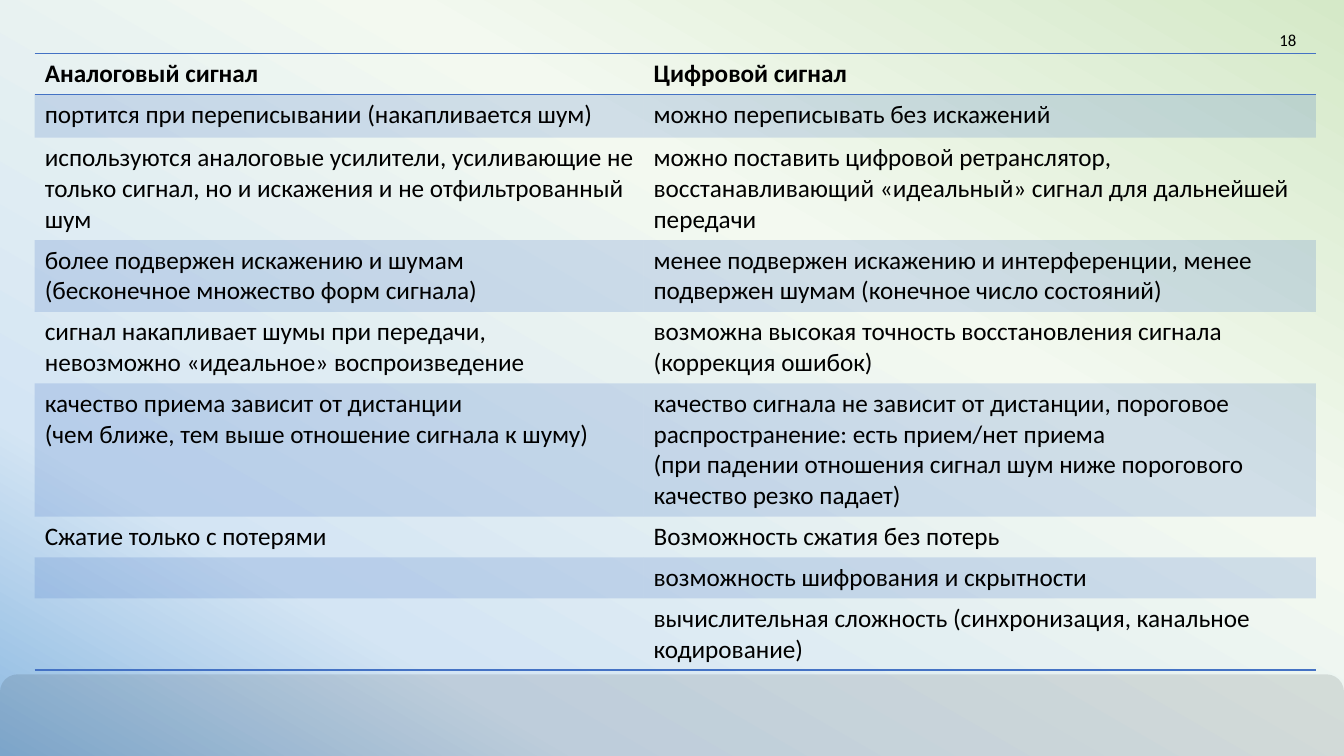
"""Builds a slide that compares analog and digital signals in a banded table."""
from dataclasses import dataclass

from lxml import etree
from pptx import Presentation
from pptx import util as u
from pptx.dml.color import RGBColor
from pptx.enum import shapes, text
from pptx.oxml import ns


@dataclass(frozen=True)
class Theme:
    font: str = "Calibri"
    ink: str = "000000"
    accent: str = "4472C4"
    body_size: float = 18
    number_size: float = 12
    row_opacity: int = 20
    footer_opacity: int = 10
    rule_width: float = 1
    gradient: tuple = ((0, "D5E9C8"), (36, "F3F9F0"), (78, "D4E5F4"), (100, "8BB8E1"))
    gradient_angle: int = 240
    plain_table_style: str = "{2D5ABB26-0587-4C30-8999-92F81FD0307C}"


@dataclass(frozen=True)
class Comparison:
    height: float
    analog: str
    digital: str


THEME = Theme()
COLUMN_WIDTHS = (434.9, 480.2)
ROWS = (
    Comparison(24, "Аналоговый сигнал", "Цифровой сигнал"),
    Comparison(31, "портится при переписывании (накапливается шум)",
               "можно переписывать без искажений"),
    Comparison(50, "используются аналоговые усилители, усиливающие не только сигнал, "
               "но и искажения и не отфильтрованный шум",
               "можно поставить цифровой ретранслятор, восстанавливающий «идеальный» "
               "сигнал для дальнейшей передачи"),
    Comparison(34.5, "более подвержен искажению и шумам \n(бесконечное множество форм сигнала)",
               "менее подвержен искажению и интерференции, менее подвержен шумам "
               "(конечное число состояний)"),
    Comparison(34.5, "сигнал накапливает шумы при передачи, \n"
               "невозможно «идеальное» воспроизведение",
               "возможна высокая точность восстановления сигнала (коррекция ошибок)"),
    Comparison(64, "качество приема зависит от дистанции \n"
               "(чем ближе, тем выше отношение сигнала к шуму)",
               "качество сигнала не зависит от дистанции, пороговое распространение: "
               "есть прием/нет приема \n(при падении отношения сигнал шум ниже "
               "порогового качество резко падает)"),
    Comparison(20, "Сжатие только с потерями", "Возможность сжатия без потерь"),
    Comparison(24, "", "возможность шифрования и скрытности"),
    Comparison(34.5, "", "вычислительная сложность (синхронизация, канальное кодирование)"),
)


def write(frame, content: str, *, size: float, bold: bool = False,
          align=text.PP_ALIGN.LEFT) -> None:
    paragraph = frame.paragraphs[0]
    paragraph.text = content
    paragraph.alignment = align
    for run in paragraph.runs:
        run.font.name = THEME.font
        run.font.size = u.Pt(size)
        run.font.bold = bold
        run.font.color.rgb = RGBColor.from_string(THEME.ink)


def fill_translucent(fill, element, color: str, opacity: int) -> None:
    fill.solid()
    fill.fore_color.rgb = RGBColor.from_string(color)
    color_element = element.find(".//" + ns.qn("a:srgbClr"))
    etree.SubElement(color_element, ns.qn("a:alpha"), val=str(opacity * 1000))


def paint_background(slide) -> None:
    fill = slide.background.fill
    fill.gradient()
    fill.gradient_angle = THEME.gradient_angle
    stops = slide.element.find(".//" + ns.qn("a:gsLst"))
    for stop in list(stops):
        stops.remove(stop)
    for position, color in THEME.gradient:
        stop = etree.SubElement(stops, ns.qn("a:gs"), pos=str(position * 1000))
        etree.SubElement(stop, ns.qn("a:srgbClr"), val=color)


def add_footer_band(slide) -> None:
    band = slide.shapes.add_shape(shapes.MSO_SHAPE.ROUNDED_RECTANGLE,
                                  u.Pt(0), u.Pt(481.7), u.Pt(960), u.Pt(74.9))
    band.shadow.inherit = False
    fill_translucent(band.fill, band.element.spPr, THEME.ink, THEME.footer_opacity)
    band.line.fill.background()


def add_border(cell, side: str) -> None:
    properties = cell._tc.get_or_add_tcPr()
    line = etree.Element(ns.qn(f"a:{side}"), w=str(u.Pt(THEME.rule_width)))
    solid = etree.SubElement(line, ns.qn("a:solidFill"))
    etree.SubElement(solid, ns.qn("a:srgbClr"), val=THEME.accent)
    properties.insert(0, line)


def add_comparison_table(slide) -> None:
    height = u.Pt(434.2)
    frame = slide.shapes.add_table(len(ROWS), len(COLUMN_WIDTHS), u.Pt(24.8), u.Pt(38.2),
                                   u.Pt(sum(COLUMN_WIDTHS)), height)
    table = frame.table
    table.first_row = table.horz_banding = False
    frame.element.find(".//" + ns.qn("a:tableStyleId")).text = THEME.plain_table_style
    for column, width in zip(table.columns, COLUMN_WIDTHS):
        column.width = u.Pt(width)
    for index, comparison in enumerate(ROWS):
        row = table.rows[index]
        row.height = u.Pt(comparison.height)
        for cell, content in zip(row.cells, (comparison.analog, comparison.digital)):
            write(cell.text_frame, content, size=THEME.body_size, bold=index == 0)
            if index % 2:
                fill_translucent(cell.fill, cell._tc.get_or_add_tcPr(),
                                 THEME.accent, THEME.row_opacity)
            else:
                cell.fill.background()
            if index in (0, len(ROWS) - 1):
                add_border(cell, "lnB")
            if index == 0:
                add_border(cell, "lnT")
    frame.height = height


def add_slide_number(slide) -> None:
    box = slide.shapes.add_textbox(u.Pt(717.1), u.Pt(14.4), u.Pt(216), u.Pt(28.8))
    box.text_frame.word_wrap = True
    box.text_frame.vertical_anchor = text.MSO_ANCHOR.MIDDLE
    write(box.text_frame, "18", size=THEME.number_size, align=text.PP_ALIGN.RIGHT)


def main() -> None:
    presentation = Presentation()
    presentation.slide_width = u.Pt(960)
    presentation.slide_height = u.Pt(540)
    slide = presentation.slides.add_slide(presentation.slide_layouts[6])
    paint_background(slide)
    add_footer_band(slide)
    add_comparison_table(slide)
    add_slide_number(slide)
    presentation.save("out.pptx")


if __name__ == "__main__":
    main()
